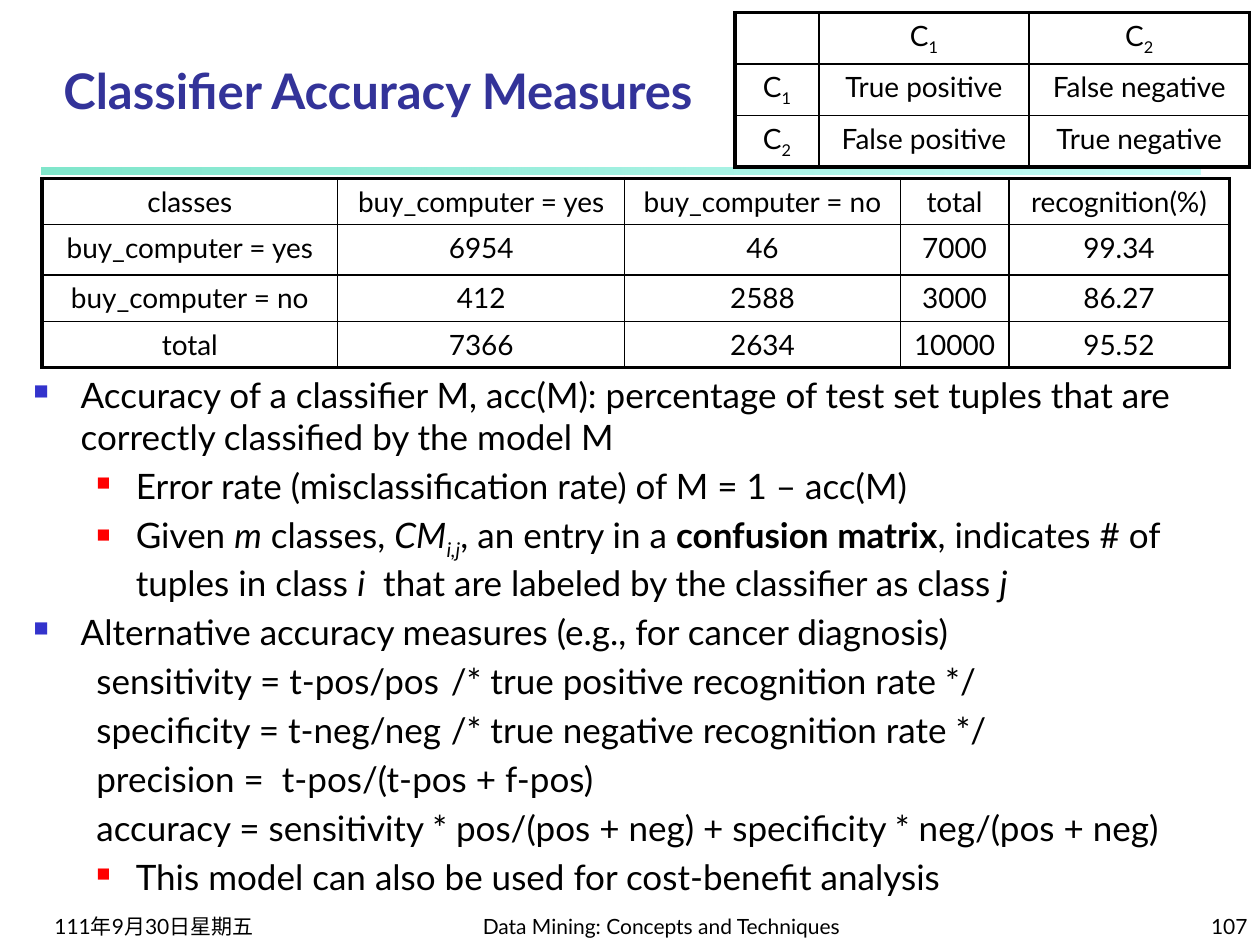
import pptx
import pptx.util
import pptx.dml.color
import pptx.enum.shapes
import pptx.enum.text
import pptx.oxml
import pptx.oxml.ns

Pt = pptx.util.Pt
Align = pptx.enum.text.PP_ALIGN
Anchor = pptx.enum.text.MSO_ANCHOR
qn = pptx.oxml.ns.qn


def color(code):
    return pptx.dml.color.RGBColor.from_string(code)


def node(parent, tag, **attrs):
    item = parent.makeelement(qn(tag), {k: str(v) for k, v in attrs.items()})
    parent.append(item)
    return item


def write(para, text, size=16, font="Lato", ink="000000", bold=False,
          align=Align.LEFT, before=0):
    """Fill a paragraph from a string or from (text, style) pairs.

    Styles: i italic, b bold, s subscript.
    """
    para.alignment = align
    para.space_before = Pt(before)
    for part, style in [(text, "")] if isinstance(text, str) else text:
        run = para.add_run()
        run.text = part
        run.font.size = Pt(size)
        run.font.name = font
        run.font.color.rgb = color(ink)
        run.font.bold = bold or "b" in style
        run.font.italic = "i" in style
        if "s" in style:
            run.font._element.set("baseline", "-25000")


class Deck:
    bullets = {0: ("3333CC", 60000), 1: ("FF0000", 55000)}
    indents = {0: (27, -27), 1: (58.5, -22.5)}
    thin, thick = 1, 2.25

    def __init__(self, width, height):
        self.file = pptx.Presentation()
        self.file.slide_width, self.file.slide_height = Pt(width), Pt(height)
        self.slide = self.file.slides.add_slide(self.file.slide_layouts[6])

    def frame(self, box, anchor):
        frame = self.slide.shapes.add_textbox(*map(Pt, box)).text_frame
        frame.word_wrap = True
        frame.vertical_anchor = anchor
        return frame

    def label(self, box, text, **style):
        write(self.frame(box, Anchor.BOTTOM).paragraphs[0], text, **style)

    def fade(self, box, stops):
        bar = self.slide.shapes.add_shape(
            pptx.enum.shapes.MSO_SHAPE.RECTANGLE, *map(Pt, box))
        bar.shadow.inherit = False
        bar.line.fill.background()
        bar.fill.gradient()
        bar.fill.gradient_angle = 0
        for stop, (code, alpha) in zip(bar.fill.gradient_stops, stops):
            stop.color.rgb = color(code)
        marks = bar._element.spPr.iter(qn("a:srgbClr"))
        for mark, (code, alpha) in zip(marks, stops):
            node(mark, "a:alpha", val=alpha * 1000)

    def points(self, box, items, size, before, tab):
        frame = self.frame(box, Anchor.TOP)
        for n, (level, marked, text) in enumerate(items):
            para = frame.add_paragraph() if n else frame.paragraphs[0]
            para.level = level
            props = para._p.get_or_add_pPr()
            left, first = self.indents[level]
            props.set("marL", str(Pt(left)))
            props.set("indent", str(Pt(first)))
            if marked:
                ink, scale = self.bullets[level]
                node(node(props, "a:buClr"), "a:srgbClr", val=ink)
                node(props, "a:buSzPct", val=scale)
                node(props, "a:buChar", char="■")
            else:
                node(props, "a:buNone")
                node(node(props, "a:tabLst"), "a:tab", pos=Pt(tab), algn="l")
            write(para, text, size=size, before=before if n else 0)

    def border(self, cell, sides):
        props = cell._tc.get_or_add_tcPr()
        for side, outer in sides.items():
            line = node(props, "a:ln" + side,
                        w=Pt(self.thick if outer else self.thin))
            node(node(line, "a:solidFill"), "a:srgbClr", val="000000")

    def table(self, left, top, cols, rows, data):
        grid = self.slide.shapes.add_table(
            len(rows), len(cols), Pt(left), Pt(top),
            Pt(sum(cols)), Pt(sum(rows))).table
        grid.first_row = grid.horz_banding = False
        for col, width in zip(grid.columns, cols):
            col.width = Pt(width)
        for r, height in enumerate(rows):
            grid.rows[r].height = Pt(height)
            for c, text in enumerate(data[r]):
                cell = grid.cell(r, c)
                self.border(cell, {"L": c == 0, "R": c == len(cols) - 1,
                                   "T": r == 0, "B": r == len(rows) - 1})
                cell.fill.background()
                write(cell.text_frame.paragraphs[0], text, align=Align.CENTER)


def main():
    deck = Deck(720, 540)

    # Rule under the title
    deck.fade((24, 96, 662, 4), [("00CE98", 50), ("8FF9EF", 52)])

    # Footer
    deck.label((24, 510, 150, 30), "111年9月30日星期五", size=12)
    deck.label((264, 510, 228, 30), "Data Mining: Concepts and Techniques",
               size=12, align=Align.CENTER)
    deck.label((570, 510, 150, 30), "107", size=12, align=Align.RIGHT)

    # Title
    deck.label((0, 30, 432, 42), "Classifier Accuracy Measures", size=28,
               ink="333399", bold=True, align=Align.CENTER)

    # Definitions and measures: level, bullet, text
    deck.points((12, 210, 696, 300), [
        (0, True, "Accuracy of a classifier M, acc(M): percentage of test set "
                  "tuples that are correctly classified by the model M"),
        (1, True, "Error rate (misclassification rate) of M = 1 – acc(M)"),
        (1, True, [("Given ", ""), ("m", "i"), (" classes, ", ""),
                   ("CM", "i"), ("i,j", "is"), (", an entry in a ", ""),
                   ("confusion matrix", "b"),
                   (", indicates # of tuples in class ", ""), ("i", "i"),
                   ("  that are labeled by the classifier as class ", ""),
                   ("j", "i")]),
        (0, True, "Alternative accuracy measures (e.g., for cancer diagnosis)"),
        (1, False, "sensitivity = t-pos/pos\t/* true positive recognition rate */"),
        (1, False, "specificity = t-neg/neg\t/* true negative recognition rate */"),
        (1, False, "precision =  t-pos/(t-pos + f-pos)"),
        (1, False, "accuracy = sensitivity * pos/(pos + neg) + "
                   "specificity * neg/(pos + neg)"),
        (1, True, "This model can also be used for cost-benefit analysis"),
    ], size=20, before=4, tab=299)

    # Recognition results
    yes, no = "buy_computer = yes", "buy_computer = no"
    deck.table(24, 102, [169, 164, 157.5, 62, 126], [26, 28.8, 26, 26], [
        ["classes", yes, no, "total", "recognition(%)"],
        [yes, "6954", "46", "7000", "99.34"],
        [no, "412", "2588", "3000", "86.27"],
        ["total", "7366", "2634", "10000", "95.52"],
    ])

    # Confusion matrix
    one, two = ([("C", ""), (n, "s")] for n in "12")
    deck.table(420, 7.2, [48, 120, 126], [29.4] * 3, [
        ["", one, two],
        [one, "True positive", "False negative"],
        [two, "False positive", "True negative"],
    ])

    deck.file.save("out.pptx")


if __name__ == "__main__":
    main()
